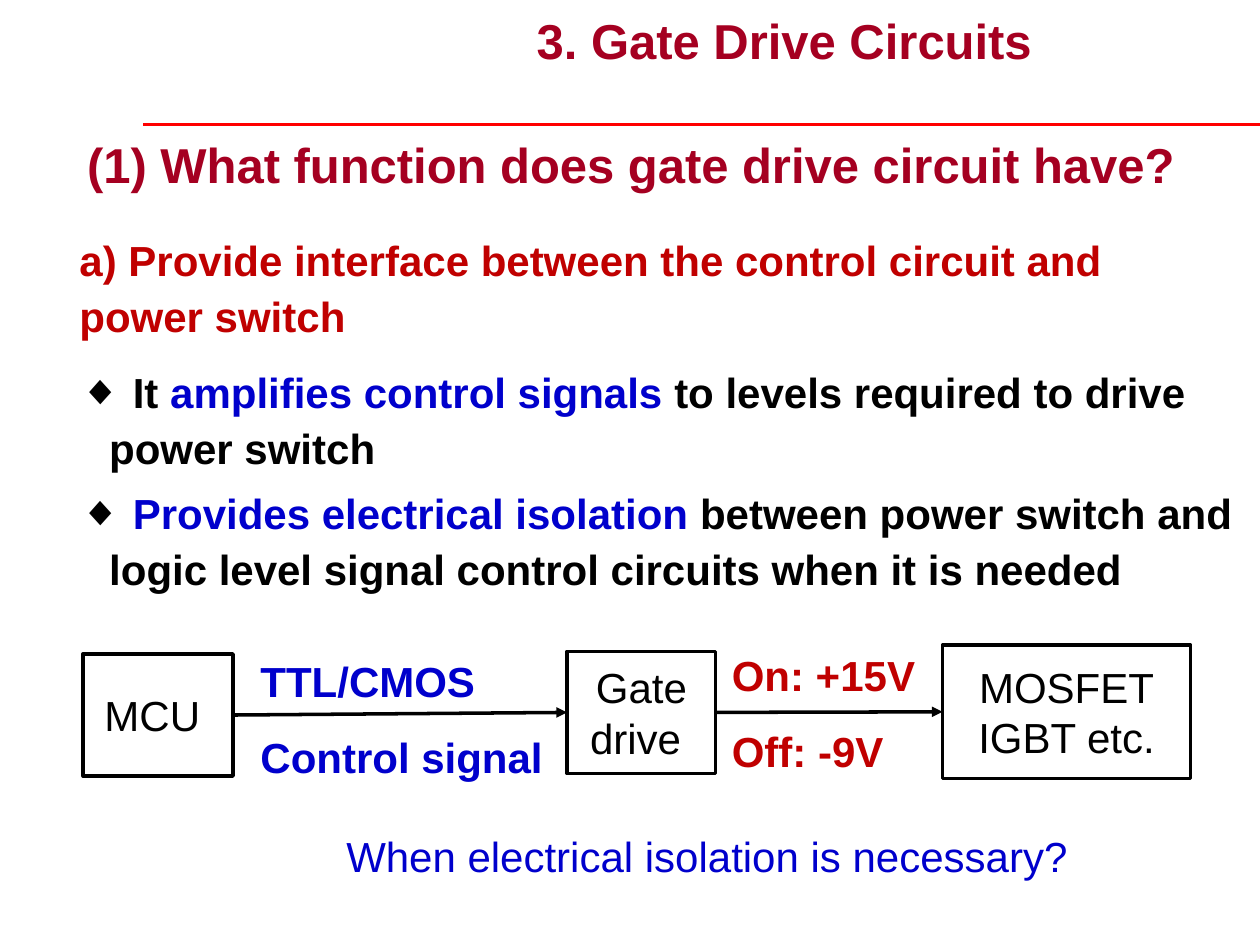
"""Build the gate drive circuits slide with its signal chain diagram."""
from dataclasses import dataclass

from lxml.etree import SubElement
from pptx import Presentation
from pptx.dml.color import RGBColor
from pptx.enum.shapes import MSO_CONNECTOR, MSO_SHAPE
from pptx.enum.text import MSO_ANCHOR, MSO_AUTO_SIZE, PP_ALIGN
from pptx.oxml.ns import qn
from pptx.util import Pt

COLORS = {
    "black": "000000",
    "white": "FFFFFF",
    "rule": "FF0000",
    "heading": "A50021",
    "red": "C00000",
    "blue": "0000CC",
}
LEFT_SITE, RIGHT_SITE = 1, 3


@dataclass(frozen=True)
class Area:
    left: float
    top: float
    width: float
    height: float

    def lengths(self) -> tuple:
        return Pt(self.left), Pt(self.top), Pt(self.width), Pt(self.height)


@dataclass(frozen=True)
class Style:
    color: str
    size: int = 24
    bold: bool = False
    spacing: float = 1.0
    align: PP_ALIGN = PP_ALIGN.LEFT
    anchor: MSO_ANCHOR = MSO_ANCHOR.TOP


@dataclass(frozen=True)
class Label:
    area: Area
    lines: tuple
    style: Style


@dataclass(frozen=True)
class Stage:
    area: Area
    lines: tuple


HEADING = Style("heading", size=28, bold=True)
STAGE = Style("black", align=PP_ALIGN.CENTER, anchor=MSO_ANCHOR.MIDDLE)
BODY = Style("black", bold=True, spacing=1.1)


def signal(color: str) -> Style:
    return Style(color, bold=True, spacing=1.5, anchor=MSO_ANCHOR.MIDDLE)


TITLE_AREA = Area(299.5, 2.2, 306, 41)
BODY_AREA = Area(38.2, 127.7, 674.6, 209)
POINTS = (
    (("a) Provide interface between the control circuit and power switch", "red"),),
    (
        (" It ", "black"),
        ("amplifies control signals ", "blue"),
        ("to levels required to drive power switch", "black"),
    ),
    (
        (" Provides electrical isolation ", "blue"),
        ("between power switch and logic level signal control circuits when it is needed", "black"),
    ),
)
LABELS = (
    Label(Area(42.7, 73.4, 669, 41), ("(1) What function does gate drive circuit have?",), HEADING),
    Label(Area(190.8, 470.9, 487.4, 36), ("When electrical isolation is necessary?",), Style("blue")),
    Label(Area(141.8, 373.7, 180, 59.8), ("TTL/CMOS", "Control signal"), signal("blue")),
    Label(Area(411.1, 370.1, 128.2, 59.8), ("On: +15V", "Off: -9V"), signal("red")),
)
STAGES = (
    Stage(Area(47.5, 373.7, 85.7, 69.8), ("MCU ",)),
    Stage(Area(324, 372.2, 85, 69.8), ("Gate drive ",)),
    Stage(Area(538.6, 368.6, 141.8, 76.3), ("MOSFET", "IGBT etc.")),
)


def rgb(name: str) -> RGBColor:
    return RGBColor.from_string(COLORS[name])


def format_paragraph(para, style: Style) -> None:
    para.alignment = style.align
    para.line_spacing = style.spacing
    para.space_before = para.space_after = Pt(0)
    font = para.font
    font.name, font.size, font.bold = "Arial", Pt(style.size), style.bold
    font.color.rgb = rgb(style.color)


def prepare_frame(frame, style: Style) -> None:
    frame.word_wrap = True
    frame.auto_size = MSO_AUTO_SIZE.NONE
    frame.vertical_anchor = style.anchor


def write_lines(frame, lines: tuple, style: Style) -> None:
    prepare_frame(frame, style)
    frame.text = "\n".join(lines)
    for para in frame.paragraphs:
        format_paragraph(para, style)


def place(box, area: Area) -> None:
    box.left, box.top, box.width, box.height = area.lengths()


def set_bullet(para, marked: bool) -> None:
    properties = para._p.get_or_add_pPr()
    margin = Pt(17) if marked else 0
    properties.set("marL", str(margin))
    properties.set("indent", str(-margin))
    if not marked:
        SubElement(properties, qn("a:buNone"))
        return
    color = SubElement(properties, qn("a:buClr"))
    SubElement(color, qn("a:srgbClr"), val=COLORS["black"])
    SubElement(properties, qn("a:buFont"), typeface="Arial")
    SubElement(properties, qn("a:buChar"), char="◆")


def write_points(frame) -> None:
    prepare_frame(frame, BODY)
    for index, spans in enumerate(POINTS):
        para = frame.add_paragraph() if index else frame.paragraphs[0]
        set_bullet(para, marked=index > 0)
        format_paragraph(para, BODY)
        if index:
            para.space_before = Pt(6)
        else:
            para.space_after = Pt(6)
        for text, color in spans:
            span = para.add_run()
            span.text = text
            span.font.color.rgb = rgb(color)


def add_label(page, label: Label) -> None:
    box = page.shapes.add_textbox(*label.area.lengths())
    write_lines(box.text_frame, label.lines, label.style)


def add_stage(page, stage: Stage):
    box = page.shapes.add_shape(MSO_SHAPE.RECTANGLE, *stage.area.lengths())
    box.shadow.inherit = False
    box.fill.solid()
    box.fill.fore_color.rgb = rgb("white")
    box.line.color.rgb = rgb("black")
    box.line.width = Pt(2)
    write_lines(box.text_frame, stage.lines, STAGE)
    return box


def add_line(page, color: str, width: float, ends: tuple = (0, 0, 0, 0)):
    line = page.shapes.add_connector(MSO_CONNECTOR.STRAIGHT, *map(Pt, ends))
    line.line.color.rgb = rgb(color)
    line.line.width = Pt(width)
    SubElement(line._element.spPr, qn("a:effectLst"))
    return line


def add_arrow(page, source, target) -> None:
    arrow = add_line(page, "black", 2)
    arrow.begin_connect(source, RIGHT_SITE)
    arrow.end_connect(target, LEFT_SITE)
    SubElement(arrow.line._get_or_add_ln(), qn("a:tailEnd"), type="triangle")


def main() -> None:
    deck = Presentation()
    deck.slide_width, deck.slide_height = Pt(720), Pt(540)
    page = deck.slides.add_slide(deck.slide_layouts[1])
    title, body = page.placeholders
    place(title, TITLE_AREA)
    write_lines(title.text_frame, ("3. Gate Drive Circuits",), HEADING)
    place(body, BODY_AREA)
    write_points(body.text_frame)
    add_line(page, "rule", 1.5, (82, 71.3, 720, 71.3))
    boxes = [add_stage(page, stage) for stage in STAGES]
    for source, target in zip(boxes, boxes[1:]):
        add_arrow(page, source, target)
    for label in LABELS:
        add_label(page, label)
    deck.save("out.pptx")


if __name__ == "__main__":
    main()
